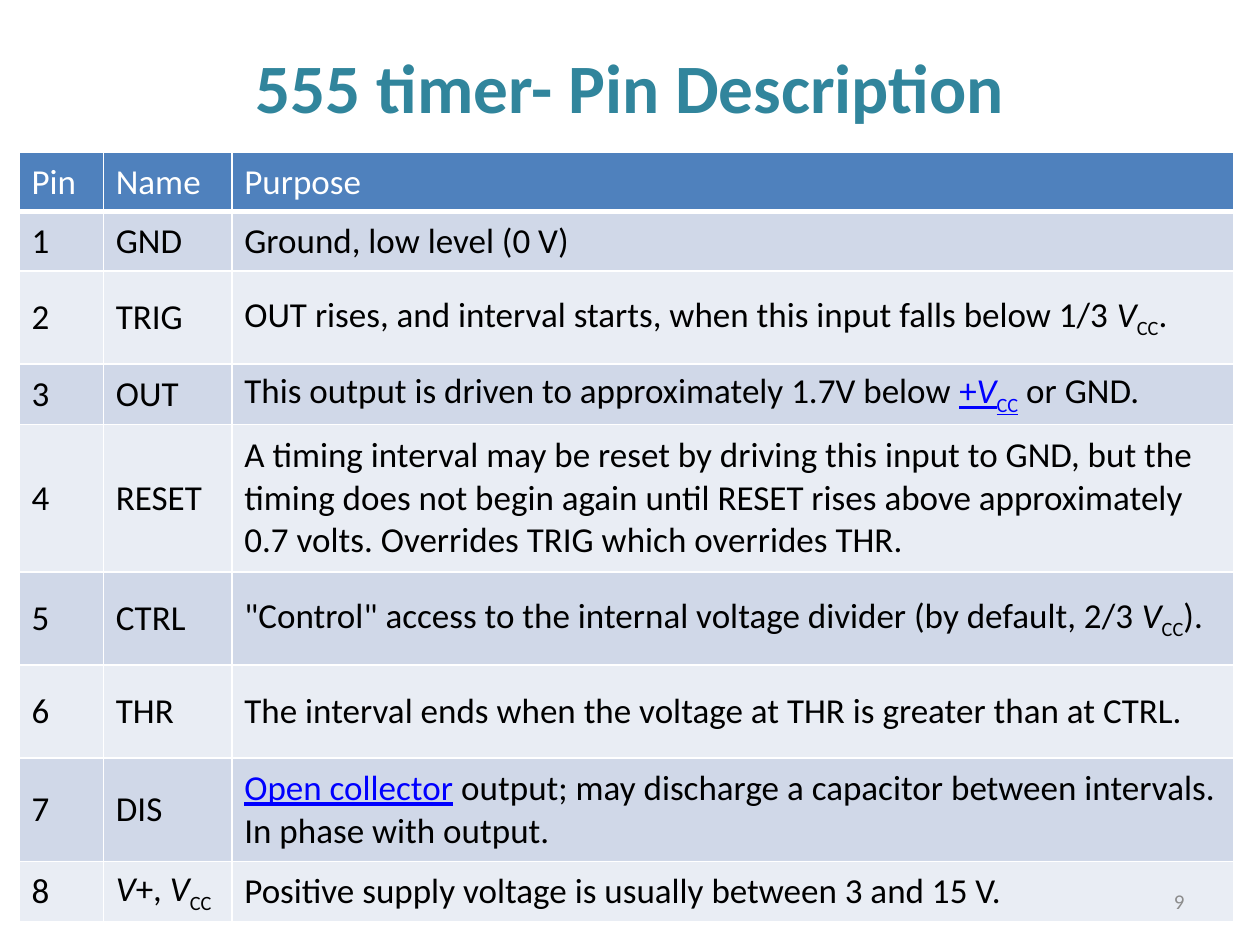
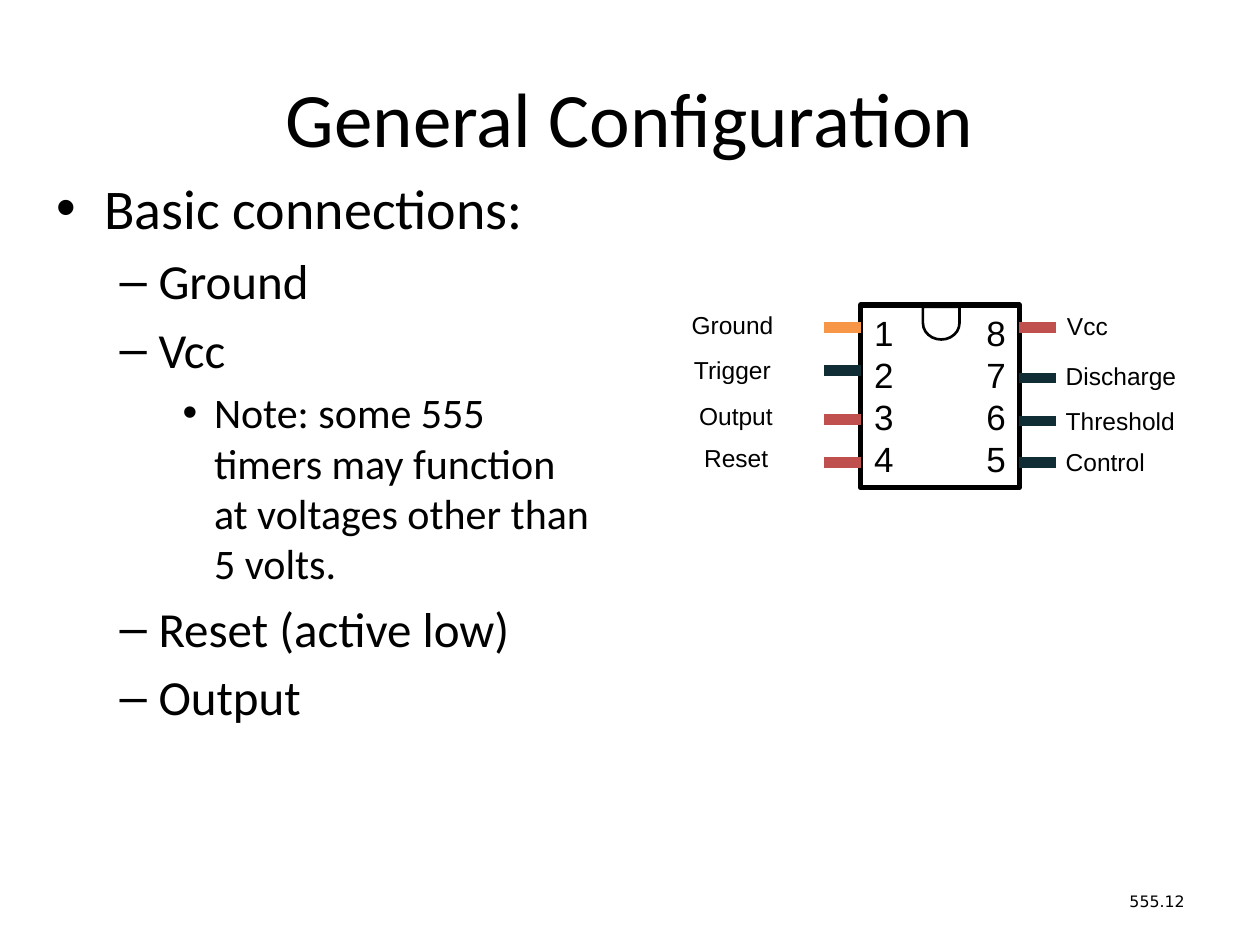
from lxml import etree
from pptx import Presentation
from pptx import util as u
from pptx.dml.color import RGBColor
from pptx.enum import shapes, text
from pptx.oxml import ns

BLACK, WHITE = "000000", "FFFFFF"
TEAL, GRAY, LINK = "31859C", "8C8C8C", "0000FF"
HEADER, BAND_DARK, BAND_LIGHT = "4F81BD", "D0D8E8", "E9EDF4"
ORANGE, RED, NAVY = "F79646", "C0504D", "102C34"
BODY_FONT, CHIP_FONT, NUMBER_FONT = "Calibri", "Arial", "DejaVu Sans"
LEFT, CENTER, RIGHT = text.PP_ALIGN.LEFT, text.PP_ALIGN.CENTER, text.PP_ALIGN.RIGHT
MIDDLE, TOP = text.MSO_ANCHOR.MIDDLE, text.MSO_ANCHOR.TOP

V_CC = [("V", "i"), ("CC", "s")]
PIN_ROWS = [
    ("Pin", "Name", "Purpose"),
    ("1", "GND", "Ground, low level (0 V)"),
    ("2", "TRIG", [("OUT rises, and interval starts, when this input falls below 1/3 ", ""),
                   *V_CC, (".", "")]),
    ("3", "OUT", [("This output is driven to approximately 1.7V below ", ""),
                  ("+", "u"), ("V", "iu"), ("CC", "su"), (" or GND.", "")]),
    ("4", "RESET", "A timing interval may be reset by driving this input to GND, but the "
                   "timing does not begin again until RESET rises above approximately "
                   "0.7 volts. Overrides TRIG which overrides THR."),
    ("5", "CTRL", [('"Control" access to the internal voltage divider (by default, 2/3 ', ""),
                   *V_CC, (").", "")]),
    ("6", "THR", "The interval ends when the voltage at THR is greater than at CTRL."),
    ("7", "DIS", [("Open collector", "u"),
                  (" output; may discharge a capacitor between intervals. "
                   "In phase with output.", "")]),
    ("8", [("V", "i"), ("+, ", ""), *V_CC],
     "Positive supply voltage is usually between 3 and 15 V."),
]
COLUMN_WIDTHS = [0.67, 1.02, 7.95]
ROW_HEIGHTS = [0.47, 0.47, 0.74, 0.47, 1.17, 0.74, 0.74, 0.82, 0.47]

CONNECTIONS = [
    (0, "Basic connections:"),
    (1, "Ground"),
    (1, "Vcc"),
    (2, "Note: some 555 timers may function at voltages other than 5 volts."),
    (1, "Reset (active low)"),
    (1, "Output"),
]
LEVELS = [(32, "•", 0.38, 0.38), (28, "–", 0.81, 0.31), (24, "•", 1.25, 0.25)]

CHIP_LEFT, CHIP_TOP, CHIP_WIDTH, CHIP_HEIGHT = 6.83, 2.42, 1.26, 1.45
CHIP_RIGHT = CHIP_LEFT + CHIP_WIDTH
LEAD = 0.29
LEFT_PINS = [
    ("Ground", 5.39, 2.41, 2.6, ORANGE),
    ("Trigger", 5.41, 2.77, 2.94, NAVY),
    ("Output", 5.45, 3.13, 3.33, RED),
    ("Reset", 5.49, 3.47, 3.67, RED),
]
RIGHT_PINS = [
    ("Vcc", 8.37, 2.42, 2.6, RED),
    ("Discharge", 8.36, 2.82, 3, NAVY),
    ("Threshold", 8.36, 3.17, 3.34, NAVY),
    ("Control", 8.36, 3.5, 3.67, NAVY),
]


def color(hex_value):
    return RGBColor.from_string(hex_value)


def inches(*lengths):
    return [u.Inches(length) for length in lengths]


def style(p, size, font=BODY_FONT, ink=BLACK, bold=False):
    p.font.size = u.Pt(size)
    p.font.name = font
    p.font.bold = bold
    p.font.color.rgb = color(ink)


def add_text(slide, box, lines, size, font=BODY_FONT, ink=BLACK,
             align=LEFT, anchor=TOP, bold=False, wrap=True):
    tf = slide.shapes.add_textbox(*inches(*box)).text_frame
    tf.word_wrap = wrap
    tf.vertical_anchor = anchor
    tf.text = "\n".join(lines)
    for p in tf.paragraphs:
        p.alignment = align
        style(p, size, font, ink, bold)
    return tf


def add_title(slide, title, height, size, ink=BLACK, bold=False):
    add_text(slide, (0.5, 0.3, 9, height), [title], size, ink=ink,
             align=CENTER, anchor=MIDDLE, bold=bold)


def add_number(slide, number, size, font, ink):
    add_text(slide, (7.17, 6.95, 2.33, 0.4), [number], size, font, ink, RIGHT, MIDDLE)


def add_runs(p, runs):
    for words, marks in runs:
        r = p.add_run()
        r.text = words
        if "i" in marks:
            r.font.italic = True
        if "u" in marks:
            r.font.underline = True
            r.font.color.rgb = color(LINK)
        if "s" in marks:
            r._r.get_or_add_rPr().set("baseline", "-25000")


def set_borders(cell, bottom):
    tcPr = cell._tc.get_or_add_tcPr()
    widths = {"lnL": 1, "lnR": 1, "lnT": 1, "lnB": bottom}
    for i, (side, width) in enumerate(widths.items()):
        ln = etree.Element(ns.qn(f"a:{side}"), w=str(u.Pt(width)))
        fill = etree.SubElement(ln, ns.qn("a:solidFill"))
        etree.SubElement(fill, ns.qn("a:srgbClr"), val=WHITE)
        tcPr.insert(i, ln)


def fill_cell(cell, content, row):
    fill = HEADER if row == 0 else BAND_DARK if row % 2 else BAND_LIGHT
    cell.fill.solid()
    cell.fill.fore_color.rgb = color(fill)
    cell.vertical_anchor = MIDDLE
    set_borders(cell, 3 if row == 0 else 1)
    p = cell.text_frame.paragraphs[0]
    style(p, 20, ink=BLACK if row else WHITE)
    add_runs(p, [(content, "")] if isinstance(content, str) else content)


def add_pin_table(slide):
    frame = slide.shapes.add_table(len(PIN_ROWS), len(COLUMN_WIDTHS),
                                   *inches(0.15, 1.21, sum(COLUMN_WIDTHS), sum(ROW_HEIGHTS)))
    table = frame.table
    table.first_row = table.horz_banding = False
    for column, width in zip(table.columns, COLUMN_WIDTHS):
        column.width = u.Inches(width)
    for i, (height, contents) in enumerate(zip(ROW_HEIGHTS, PIN_ROWS)):
        table.rows[i].height = u.Inches(height)
        for j, content in enumerate(contents):
            fill_cell(table.cell(i, j), content, i)


def set_bullet(p, bullet, margin, hanging):
    pPr = p._p.get_or_add_pPr()
    pPr.set("marL", str(u.Inches(margin)))
    pPr.set("indent", str(-u.Inches(hanging)))
    before = etree.Element(ns.qn("a:spcBef"))
    etree.SubElement(before, ns.qn("a:spcPct"), val="20000")
    font = etree.Element(ns.qn("a:buFont"), typeface=CHIP_FONT)
    char = etree.Element(ns.qn("a:buChar"), char=bullet)
    for i, element in enumerate((before, font, char)):
        pPr.insert(i, element)


def add_bullets(slide, box, items):
    tf = add_text(slide, box, [words for _, words in items], 28)
    for p, (level, _) in zip(tf.paragraphs, items):
        size, bullet, margin, hanging = LEVELS[level]
        p.level = level
        p.font.size = u.Pt(size)
        set_bullet(p, bullet, margin, hanging)


def add_outline(slide, kind, box, width, fill=None):
    sp = slide.shapes.add_shape(kind, *inches(*box))
    sp.shadow.inherit = False
    if fill:
        sp.fill.solid()
        sp.fill.fore_color.rgb = color(fill)
    else:
        sp.fill.background()
    sp.line.color.rgb = color(BLACK)
    sp.line.width = u.Pt(width)
    return sp


def add_lead(slide, x, y, ink):
    lead = slide.shapes.add_connector(shapes.MSO_CONNECTOR.STRAIGHT,
                                      *inches(x + LEAD, y, x, y))
    lead.line.color.rgb = color(ink)
    lead.line.width = u.Pt(6)
    etree.SubElement(lead._element.spPr, ns.qn("a:effectLst"))


def add_pins(slide, pins, lead_x):
    for name, x, y, lead_y, ink in pins:
        add_lead(slide, lead_x, lead_y, ink)
        add_text(slide, (x, y, 1.56, 0.34), [name], 14, CHIP_FONT)


def add_chip(slide):
    add_outline(slide, shapes.MSO_SHAPE.RECTANGLE,
                (CHIP_LEFT, CHIP_TOP, CHIP_WIDTH, CHIP_HEIGHT), 3, WHITE)
    notch = add_outline(slide, shapes.MSO_SHAPE.FLOWCHART_DELAY,
                        (7.34, CHIP_TOP, 0.26, 0.29), 1.5)
    notch.rotation = 90
    add_pins(slide, LEFT_PINS, CHIP_LEFT - LEAD)
    add_pins(slide, RIGHT_PINS, CHIP_RIGHT)
    for x, digits in ((6.84, "1234"), (7.73, "8765")):
        add_text(slide, (x, CHIP_TOP, 0.36, CHIP_HEIGHT), digits, 20, CHIP_FONT, wrap=False)


def main():
    prs = Presentation()
    prs.slide_width, prs.slide_height = inches(10, 7.5)
    blank = prs.slide_layouts[6]

    s = prs.slides.add_slide(blank)
    add_title(s, "555 timer- Pin Description", 0.77, 39.6, TEAL, bold=True)
    add_pin_table(s)
    add_number(s, "9", 12, BODY_FONT, GRAY)

    s = prs.slides.add_slide(blank)
    add_title(s, "General Configuration", 1.25, 44)
    add_bullets(s, (0.35, 1.33, 4.48, 4.55), CONNECTIONS)
    add_number(s, "555.12", 9, NUMBER_FONT, BLACK)
    add_chip(s)

    prs.save("out.pptx")


if __name__ == "__main__":
    main()
